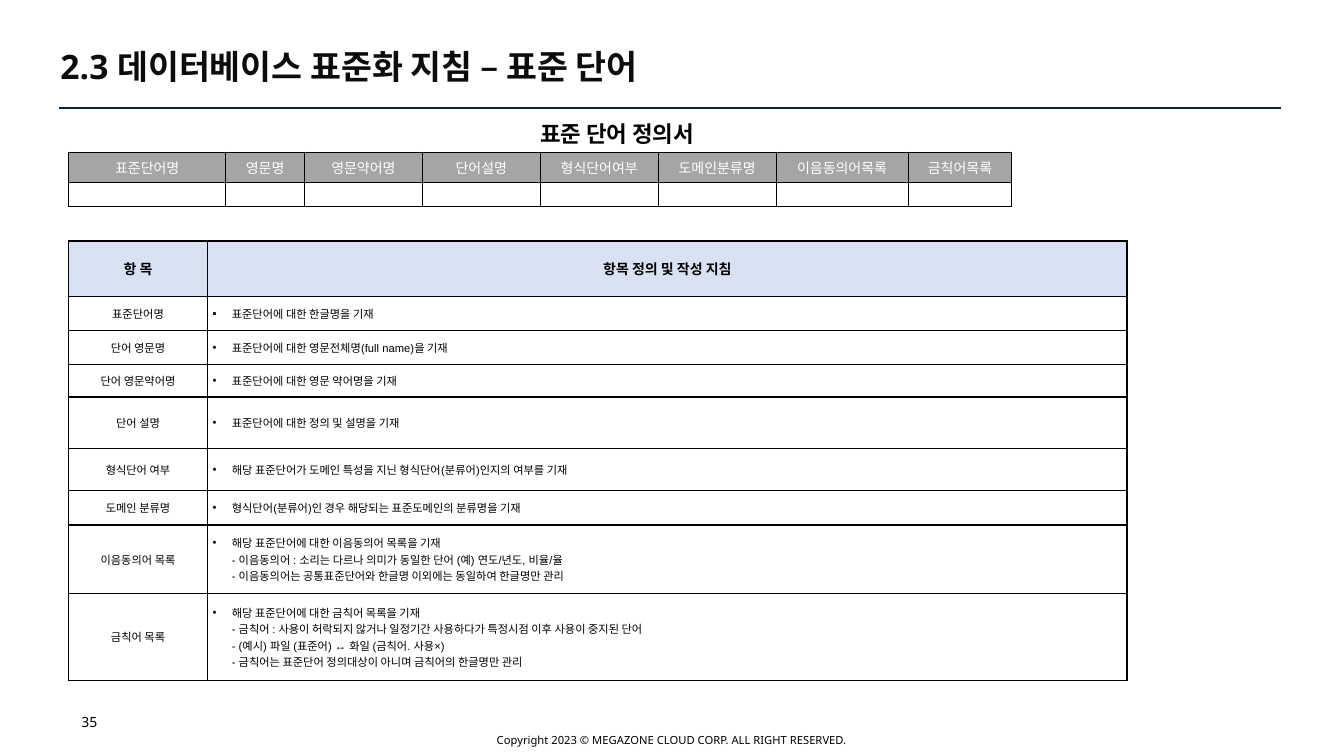
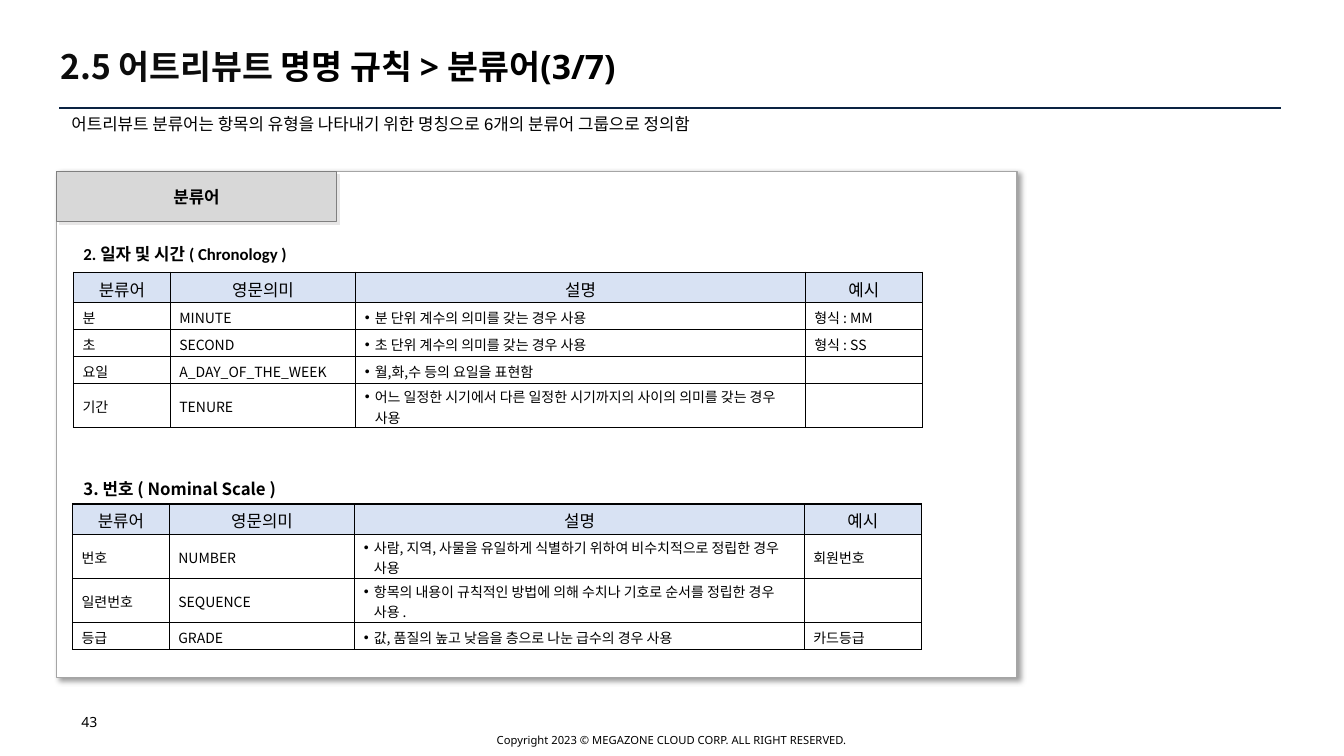
import dataclasses

import lxml.etree
import pptx
import pptx.dml.color
import pptx.enum.shapes
import pptx.enum.text
import pptx.oxml.ns
import pptx.util

ALIGN = pptx.enum.text.PP_ALIGN
ANCHOR = pptx.enum.text.MSO_ANCHOR
CELL = 0.1  # grid step in inches
COLS, ROWS = 133.33, 75
MARKS = "•▪"


@dataclasses.dataclass(frozen=True)
class Theme:
    ink: str = "000000"
    title: str = "0C0C0C"
    rule: str = "0A2342"
    paper: str = "FFFFFF"
    head: str = "D8E2F3"
    dark: str = "A5A5A5"
    tab: str = "D8D8D8"
    edge: str = "808080"
    glow: str = "E7E6E6"
    sans: str = "Noto Sans"
    korean: str = "Noto Sans CJK KR"
    arial: str = "Arial"
    plain: str = "Calibri"
    huge: int = 24
    large: int = 16
    mid: int = 12
    base: int = 10
    small: int = 8


@dataclasses.dataclass(frozen=True)
class Type:
    """One text style."""
    size: int
    face: str
    color: str = Theme.ink
    bold: bool = False
    align: ALIGN = ALIGN.LEFT
    lead: float = 1


def span(steps):
    return pptx.util.Inches(steps * CELL)


def tint(code):
    return pptx.dml.color.RGBColor.from_string(code)


def node(root, tag, **attrs):
    return lxml.etree.SubElement(root, pptx.oxml.ns.qn("a:" + tag), attrs)


def dress(font, style):
    font.size, font.bold = pptx.util.Pt(style.size), style.bold
    font.color.rgb = tint(style.color)
    font.name = style.face
    node(font._rPr, "ea", typeface=Theme.korean)


def pad(box, left, top, bottom):
    box.margin_left = box.margin_right = span(left)
    box.margin_top, box.margin_bottom = span(top), span(bottom)


def write(frame, text, style, hang=0):
    """Fill a frame; a leading mark makes a bullet, later lines align with it."""
    lines = text.split("\n")
    for i, line in enumerate(lines):
        para = frame.paragraphs[0] if i == 0 else frame.add_paragraph()
        para.alignment = style.align
        if style.lead != 1:
            para.line_spacing = style.lead
        props = para._p.get_or_add_pPr()
        mark = line[:1] if line[:1] in MARKS else ""
        if mark or i:
            props.set("marL", str(span(hang)))
        if mark:
            props.set("indent", str(-span(hang)))
            node(node(props, "buClr"), "srgbClr", val=Theme.ink)
            node(props, "buFont", typeface=Theme.arial)
            node(props, "buChar", char=mark)
            line = line[1:].lstrip()
        dress(para.font, style)
        if line:
            para.add_run().text = line
        else:
            node(para._p, "endParaRPr", sz=str(style.size * 100))


class Deck:
    def __init__(self, theme):
        self.theme = theme
        self.file = pptx.Presentation()
        self.file.slide_width = span(COLS)
        self.file.slide_height = span(ROWS)
        self.slide = None

    def page(self, number, *parts):
        """Start a slide with title, rule and footer; parts are (text, style)."""
        t = self.theme
        self.slide = self.file.slides.add_slide(self.file.slide_layouts[6])
        self.rule((5.9, 10.7), (127.1, 10.7))
        self.text((43.2, 71.3, 46.9, 3),
                  "Copyright 2023 © MEGAZONE CLOUD CORP. ALL RIGHT RESERVED.",
                  Type(t.small, t.sans, align=ALIGN.CENTER, lead=2),
                  ANCHOR.MIDDLE, grow=True)
        self.text((7.1, 70.3, 36.9, 4), str(number), Type(t.base, t.sans))
        self.title(parts)

    def title(self, parts):
        box = self.slide.shapes.add_textbox(*map(span, (6, 4.8, 121.1, 4)))
        frame = box.text_frame
        frame.word_wrap, frame.vertical_anchor = True, ANCHOR.MIDDLE
        pad(frame, 0, 0, 0)
        para = frame.paragraphs[0]
        para.line_spacing = 0.9
        for text, style in parts:
            run = para.add_run()
            run.text = text
            dress(run.font, style)

    def rule(self, start, end):
        line = self.slide.shapes.add_connector(
            pptx.enum.shapes.MSO_CONNECTOR.STRAIGHT, *map(span, start + end))
        line.line.color.rgb = tint(self.theme.rule)
        line.line.width = pptx.util.Pt(1.5)
        node(line._element.spPr, "effectLst")

    def text(self, spot, text, style, anchor=ANCHOR.TOP, grow=False):
        frame = self.slide.shapes.add_textbox(*map(span, spot)).text_frame
        frame.word_wrap, frame.vertical_anchor = True, anchor
        if grow:
            frame.auto_size = pptx.enum.text.MSO_AUTO_SIZE.SHAPE_TO_FIT_TEXT
        pad(frame, 1, 0.5, 0.5)
        write(frame, text, style)

    def panel(self, spot, fill, edge, width, shade, text="", style=None):
        """Draw a box; shade is (colour, opacity %, blur pt, distance pt)."""
        box = self.slide.shapes.add_shape(
            pptx.enum.shapes.MSO_SHAPE.RECTANGLE, *map(span, spot))
        box.fill.solid()
        box.fill.fore_color.rgb = tint(fill)
        box.line.color.rgb = tint(edge)
        box.line.width = pptx.util.Pt(width)
        box.shadow.inherit = False
        color, alpha, blur, gap = shade
        list_ = box._element.spPr.find(pptx.oxml.ns.qn("a:effectLst"))
        drop = node(list_, "outerShdw", blurRad=str(pptx.util.Pt(blur)),
                    dist=str(pptx.util.Pt(gap)), dir="2700000",
                    algn="tl", rotWithShape="0")
        node(node(drop, "srgbClr", val=color), "alpha", val=str(alpha * 1000))
        if text:
            box.text_frame.vertical_anchor = ANCHOR.MIDDLE
            write(box.text_frame, text, style)

    def border(self, cell, width):
        props = cell._tc.get_or_add_tcPr()
        for i, side in enumerate(("lnL", "lnR", "lnT", "lnB")):
            line = node(props, side, w=str(pptx.util.Pt(width)))
            node(node(line, "solidFill"), "srgbClr", val=self.theme.ink)
            props.insert(i, line)

    def table(self, spot, cols, rows, data, head, fill, body,
              inset, hang=0, first=None, width=1):
        """Draw a table; inset is (side, top, bottom), first styles column 0."""
        frame = self.slide.shapes.add_table(
            len(rows), len(cols), *map(span, spot + (sum(cols), sum(rows))))
        table = frame.table
        table.first_row = table.horz_banding = False
        for col, size in zip(table.columns, cols):
            col.width = span(size)
        for r, (row, size) in enumerate(zip(table.rows, rows)):
            row.height = span(size)
            for c, (cell, text) in enumerate(zip(row.cells, data[r])):
                if r == 0:
                    cell.fill.solid()
                    cell.fill.fore_color.rgb = tint(fill)
                else:
                    cell.fill.background()
                self.border(cell, width)
                cell.vertical_anchor = ANCHOR.MIDDLE
                pad(cell, *(inset if text else (0, 0, 0)))
                style = head if r == 0 else first if first and c == 0 else body
                write(cell.text_frame, text, style, hang)


def words(deck):
    t = deck.theme
    deck.page(35, ("2.3 데이터베이스 표준화 지침 – 표준 단어",
                   Type(t.huge, t.sans, t.title, True)))
    body = Type(t.small, t.arial)
    mid = dataclasses.replace(body, align=ALIGN.CENTER)
    guide = [
        ("항 목", "항목 정의 및 작성 지침"),
        ("표준단어명", "▪ 표준단어에 대한 한글명을 기재"),
        ("단어 영문명", "• 표준단어에 대한 영문전체명(full name)을 기재"),
        ("단어 영문약어명", "• 표준단어에 대한 영문 약어명을 기재"),
        ("단어 설명", "• 표준단어에 대한 정의 및 설명을 기재"),
        ("형식단어 여부",
         "• 해당 표준단어가 도메인 특성을 지닌 형식단어(분류어)인지의 여부를 기재"),
        ("도메인 분류명",
         "• 형식단어(분류어)인 경우 해당되는 표준도메인의 분류명을 기재"),
        ("이음동의어 목록",
         "• 해당 표준단어에 대한 이음동의어 목록을 기재\n"
         "- 이음동의어 : 소리는 다르나 의미가 동일한 단어 (예) 연도/년도, 비율/율\n"
         "- 이음동의어는 공통표준단어와 한글명 이외에는 동일하여 한글명만 관리"),
        ("금칙어 목록",
         "• 해당 표준단어에 대한 금칙어 목록을 기재\n"
         "- 금칙어 : 사용이 허락되지 않거나 일정기간 사용하다가 특정시점 이후 "
         "사용이 중지된 단어\n"
         "- (예시) 파일 (표준어) ↔ 화일 (금칙어. 사용×)\n"
         "- 금칙어는 표준단어 정의대상이 아니며 금칙어의 한글명만 관리"),
    ]
    deck.table((6.8, 23.9), (13.8, 91.2),
               (5.5, 3.4, 3.4, 3.2, 5.1, 4.2, 3.4, 6.8, 8.6), guide,
               Type(t.base, t.arial, bold=True, align=ALIGN.CENTER), t.head,
               body, (0.5, 0.5, 0.5), hang=1.9, first=mid)
    names = ("표준단어명", "영문명", "영문약어명", "단어설명", "형식단어여부",
             "도메인분류명", "이음동의어목록", "금칙어목록")
    deck.table((6.8, 15.1), (15.6, 7.8) + (11.7,) * 4 + (13.1, 10.3),
               (3, 2.4), [names, ("",) * len(names)],
               Type(t.base, t.plain, t.paper, align=ALIGN.CENTER), t.dark,
               Type(t.small, t.plain), (1, 0.5, 0.5), width=0.75)
    deck.text((52.6, 11.4, 19, 3.7), "표준 단어 정의서",
              Type(t.large, t.plain, bold=True), grow=True)


def classes(deck):
    t = deck.theme
    deck.page(43, ("2.5 어트리뷰트 ", Type(t.huge, t.korean, t.title, True)),
              ("명명 규칙 > 분류어(3/7)", Type(t.huge, t.sans, bold=True)))
    deck.panel((5.6, 17, 95.3, 50.2), t.paper, t.dark, 1, (t.ink, 40, 4, 3))
    deck.panel((5.6, 17, 27.8, 5), t.tab, t.edge, 0.75, (t.glow, 100, 0, 2.8),
               "분류어", Type(t.mid, t.korean, bold=True, align=ALIGN.CENTER))
    deck.text((6.1, 10.8, 121.1, 3),
              "어트리뷰트 분류어는 항목의 유형을 나타내기 위한 명칭으로 "
              "6개의 분류어 그룹으로 정의함", Type(t.mid, t.arial), grow=True)
    names = ("분류어", "영문의미", "설명", "예시")
    one, two = 2.68, 4.37  # row heights by number of lines
    times = [
        ("분", "MINUTE", "• 분 단위 계수의 의미를 갖는 경우 사용", "형식 : MM"),
        ("초", "SECOND", "• 초 단위 계수의 의미를 갖는 경우 사용", "형식 : SS"),
        ("요일", "A_DAY_OF_THE_WEEK", "• 월,화,수 등의 요일을 표현함", ""),
        ("기간", "TENURE", "• 어느 일정한 시기에서 다른 일정한 시기까지의 "
         "사이의 의미를 갖는 경우 사용", ""),
    ]
    codes = [
        ("번호", "NUMBER", "• 사람, 지역, 사물을 유일하게 식별하기 위하여 "
         "비수치적으로 정립한 경우 사용", "회원번호"),
        ("일련번호", "SEQUENCE", "• 항목의 내용이 규칙적인 방법에 의해 수치나 "
         "기호로 순서를 정립한 경우 사용 .", ""),
        ("등급", "GRADE", "• 값, 품질의 높고 낮음을 층으로 나눈 급수의 경우 사용",
         "카드등급"),
    ]
    groups = (
        ("2. 일자 및 시간 ( Chronology )", t.plain, 23.7, (7.3, 27),
         (one, one, one, two), times),
        ("3. 번호 ( Nominal Scale )", t.korean, 47, (7.2, 50),
         (two, two, one), codes),
    )
    for label, face, top, spot, rows, data in groups:
        deck.text((7.3, top, 52.1, 3), label, Type(t.mid, face, bold=True),
                  grow=True)
        deck.table(spot, (9.6, 18.4, 44.6, 11.6), (3,) + rows, [names] + data,
                   Type(t.mid, t.korean, align=ALIGN.CENTER), t.head,
                   Type(t.base, t.korean), (0.9, 0.3, 0), hang=1)


def main():
    deck = Deck(Theme())
    words(deck)
    classes(deck)
    deck.file.save("out.pptx")


if __name__ == "__main__":
    main()
